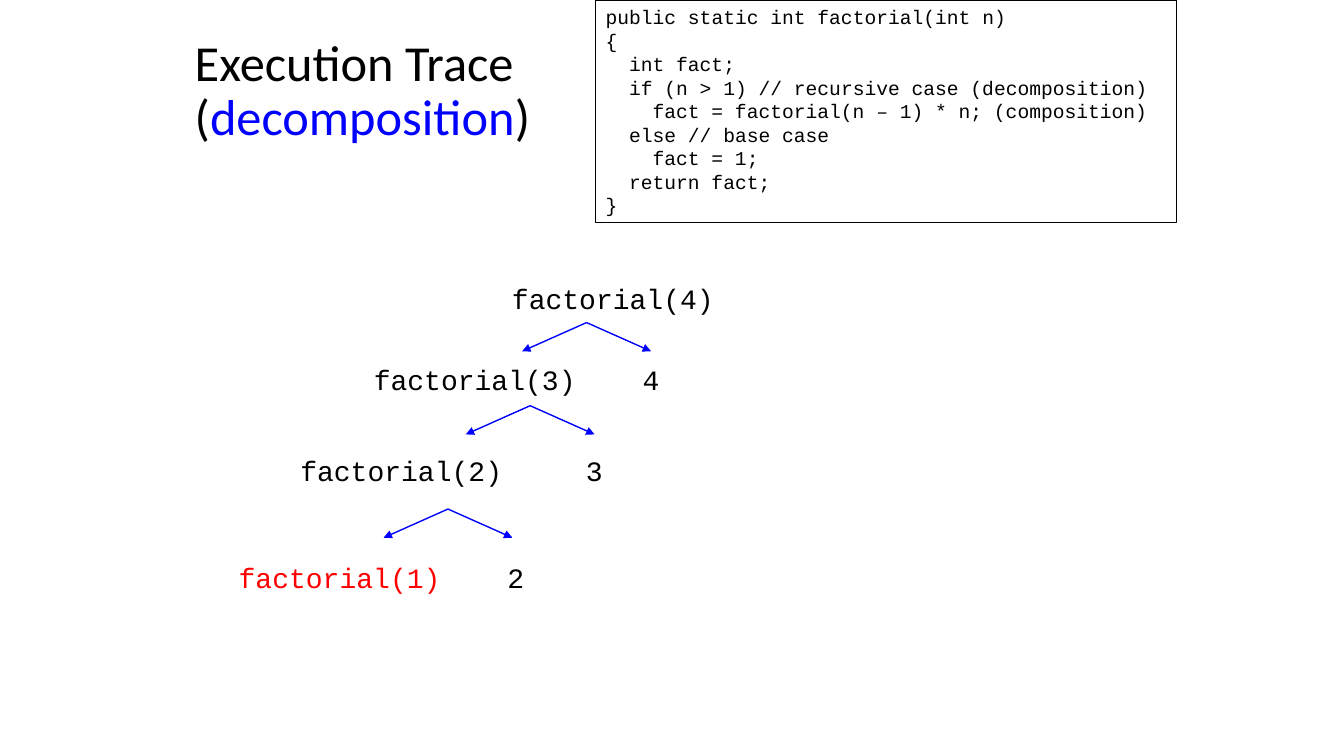
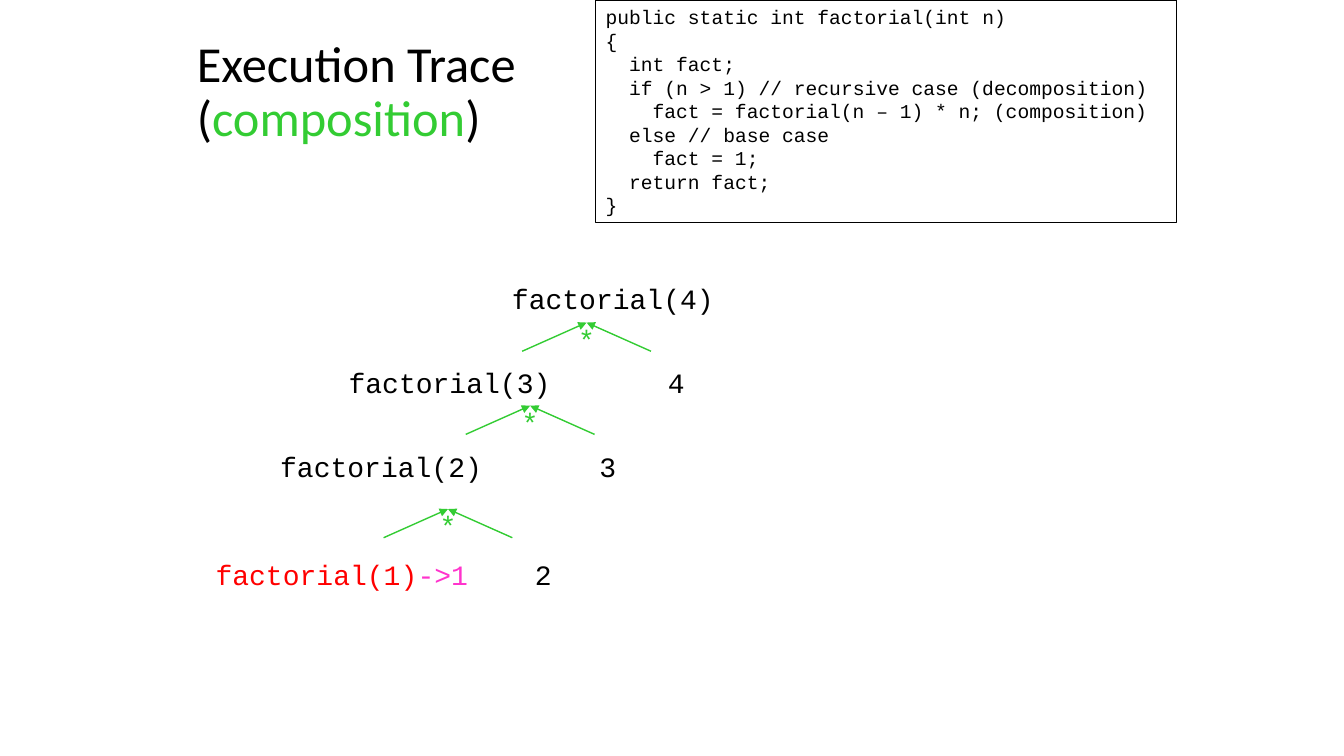
import pptx
import pptx.dml.color
import pptx.enum.shapes
import pptx.enum.text
import pptx.oxml
import pptx.oxml.ns
import pptx.util

Pt = pptx.util.Pt
ALIGN = pptx.enum.text.PP_ALIGN
ANCHOR = pptx.enum.text.MSO_ANCHOR

BLACK, WHITE, RED, PINK = "000000", "FFFFFF", "FF0000", "FF33CC"
BLUE, GREEN = "0000FF", "33CC33"
CODE_FONT, TITLE_FONT = "Courier New", "Calibri"
CHAR_WIDTH = 0.6  # advance of the code font, as a share of its size

# (indent in characters, text)
FACTORIAL_CODE = [
    (0, "public static int factorial(int n)"),
    (0, "{"),
    (2, "int fact;"),
    (2, "if (n > 1) // recursive case (decomposition)"),
    (4, "fact = factorial(n – 1) * n; (composition)"),
    (2, "else // base case"),
    (4, "fact = 1;"),
    (2, "return fact;"),
    (0, "}"),
]
BRANCH_TOPS = [(419, 230.4), (378.7, 289.8), (320, 363.6)]
BRANCH_DX, BRANCH_DY = 46, 20.5


def rgb(value):
    return pptx.dml.color.RGBColor.from_string(value)


def add_xml(parent, markup):
    """Append an element of the drawing namespace."""
    namespace = pptx.oxml.ns.nsdecls("a")
    parent.append(pptx.oxml.parse_xml(markup.replace("/>", f" {namespace}/>", 1)))


def write(paragraph, text, *, color=BLACK, size=20, font=CODE_FONT):
    run = paragraph.add_run()
    run.text = text
    run.font.size = Pt(size)
    run.font.name = font
    run.font.color.rgb = rgb(color)


class TraceDeck:
    CALL_SIZE, CODE_SIZE, TITLE_SIZE = 20, 14, 36

    def __init__(self):
        self.deck = pptx.Presentation()
        self.deck.slide_width, self.deck.slide_height = Pt(960), Pt(540)
        self.slide = None

    def new_slide(self):
        self.slide = self.deck.slides.add_slide(self.deck.slide_layouts[6])

    def text_box(self, left, top, width, height, wrap=True):
        box = self.slide.shapes.add_textbox(Pt(left), Pt(top), Pt(width), Pt(height))
        box.text_frame.word_wrap = wrap
        return box.text_frame

    def title(self, phase, color, place):
        frame = self.text_box(*place)
        frame.vertical_anchor = ANCHOR.MIDDLE
        heading = frame.paragraphs[0]
        heading.line_spacing = 0.9
        for text, shade in (("Execution Trace (", BLACK), (phase, color), (")", BLACK)):
            write(heading, text, color=shade, size=self.TITLE_SIZE, font=TITLE_FONT)

    def code_panel(self):
        panel = self.slide.shapes.add_shape(
            pptx.enum.shapes.MSO_SHAPE.RECTANGLE, Pt(425.5), Pt(0), Pt(414.7), Pt(159))
        panel.shadow.inherit = False
        panel.fill.solid()
        panel.fill.fore_color.rgb = rgb(WHITE)
        panel.line.color.rgb = rgb(BLACK)
        panel.line.width = Pt(1)
        frame = panel.text_frame
        frame.word_wrap = True
        frame.vertical_anchor = ANCHOR.TOP
        for number, (indent, text) in enumerate(FACTORIAL_CODE):
            line = frame.add_paragraph() if number else frame.paragraphs[0]
            line.alignment = ALIGN.LEFT
            margin = Pt(indent * CHAR_WIDTH * self.CODE_SIZE)
            line._p.get_or_add_pPr().set("marL", str(margin))
            write(line, text, size=self.CODE_SIZE)

    def call(self, left, top, spans, factor="", gap=0):
        """Write a call and, gap characters after it, the factor it is multiplied by."""
        line = self.text_box(left, top, 265, 31).paragraphs[0]
        for text, color in spans:
            write(line, text, color=color, size=self.CALL_SIZE)
        if factor:
            columns = sum(len(text) for text, _ in spans) + gap
            stop = Pt(columns * CHAR_WIDTH * self.CALL_SIZE)
            tabs = line._p.get_or_add_pPr()
            add_xml(tabs, "<a:tabLst/>")
            add_xml(tabs[-1], f'<a:tab pos="{stop}" algn="l"/>')
            write(line, "\t" + factor, size=self.CALL_SIZE)

    def arrow(self, start, end, color):
        line = self.slide.shapes.add_connector(
            pptx.enum.shapes.MSO_CONNECTOR.STRAIGHT, *map(Pt, (*start, *end)))
        line.line.color.rgb = rgb(color)
        line.line.width = Pt(1)
        add_xml(line.line._get_or_add_ln(), '<a:tailEnd type="triangle"/>')
        add_xml(line._element.spPr, "<a:effectLst/>")

    def branches(self, color, upward):
        for x, y in BRANCH_TOPS:
            for side in (-1, 1):
                ends = [(x, y), (x + side * BRANCH_DX, y + BRANCH_DY)]
                if upward:
                    ends.reverse()
                self.arrow(*ends, color)

    def products(self, color):
        for x, y in BRANCH_TOPS:
            star = self.text_box(x - 13.3, y - 3.6, 26.6, 31, wrap=False).paragraphs[0]
            star.alignment = ALIGN.CENTER
            write(star, "*", color=color, size=self.CALL_SIZE)

    def trace(self, phase, color, title_place, calls, upward):
        self.new_slide()
        self.title(phase, color, title_place)
        self.code_panel()
        for call in calls:
            self.call(*call)
        self.branches(color, upward)
        if upward:
            self.products(color)


def main():
    call_4, call_3, call_2 = ([(f"factorial({n})", BLACK)] for n in (4, 3, 2))
    base_case = [("factorial(1)", RED)]
    trace_deck = TraceDeck()
    trace_deck.trace("decomposition", BLUE, (132, 12, 276, 108), [
        (358.6, 197.3, call_4),
        (259.9, 255.6, call_3, "4", 4),
        (207.4, 320.4, call_2, "3", 5),
        (163.4, 396.7, base_case, "2", 4),
    ], upward=False)
    trace_deck.trace("composition", GREEN, (133.5, 16, 281, 101), [
        (358.6, 197.3, call_4),
        (241.9, 257.8, call_3, "4", 7),
        (193, 317.5, call_2, "3", 7),
        (146.9, 394.6, base_case + [("->1", PINK)], "2", 4),
    ], upward=True)
    trace_deck.deck.save("out.pptx")


if __name__ == "__main__":
    main()
